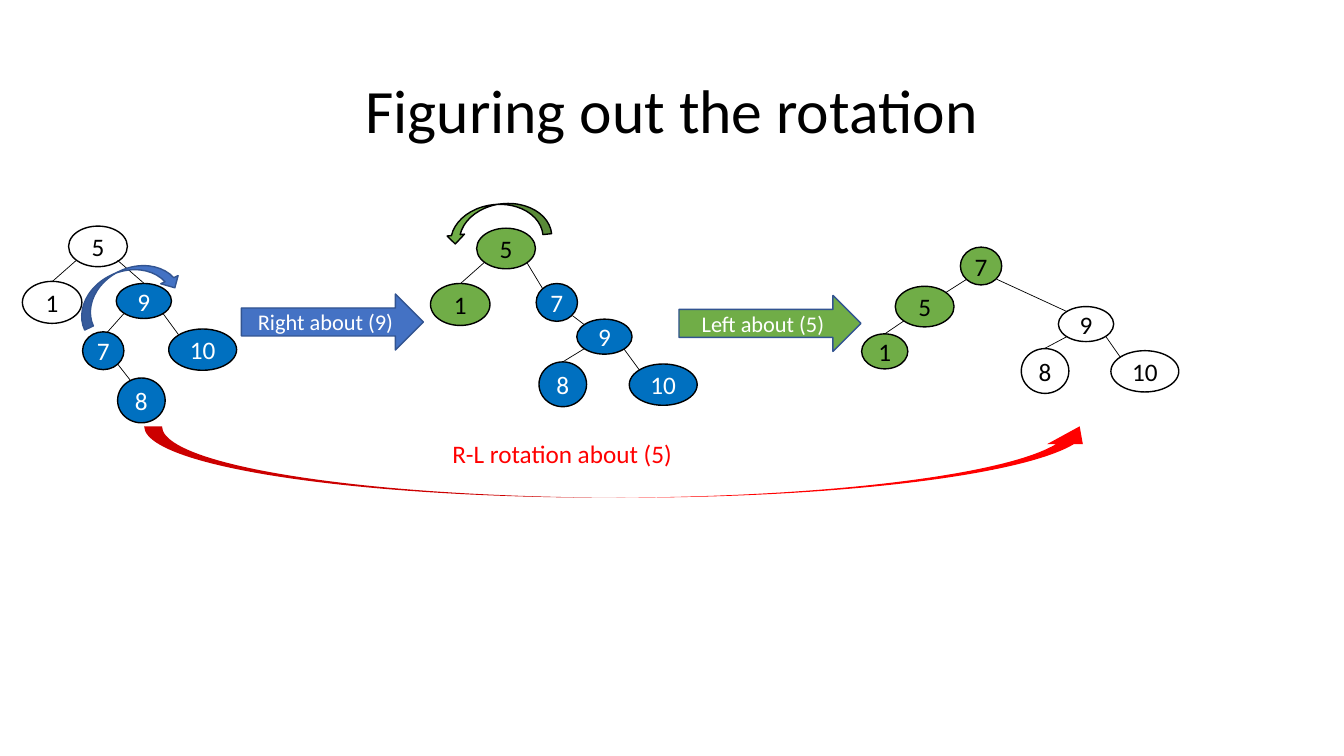
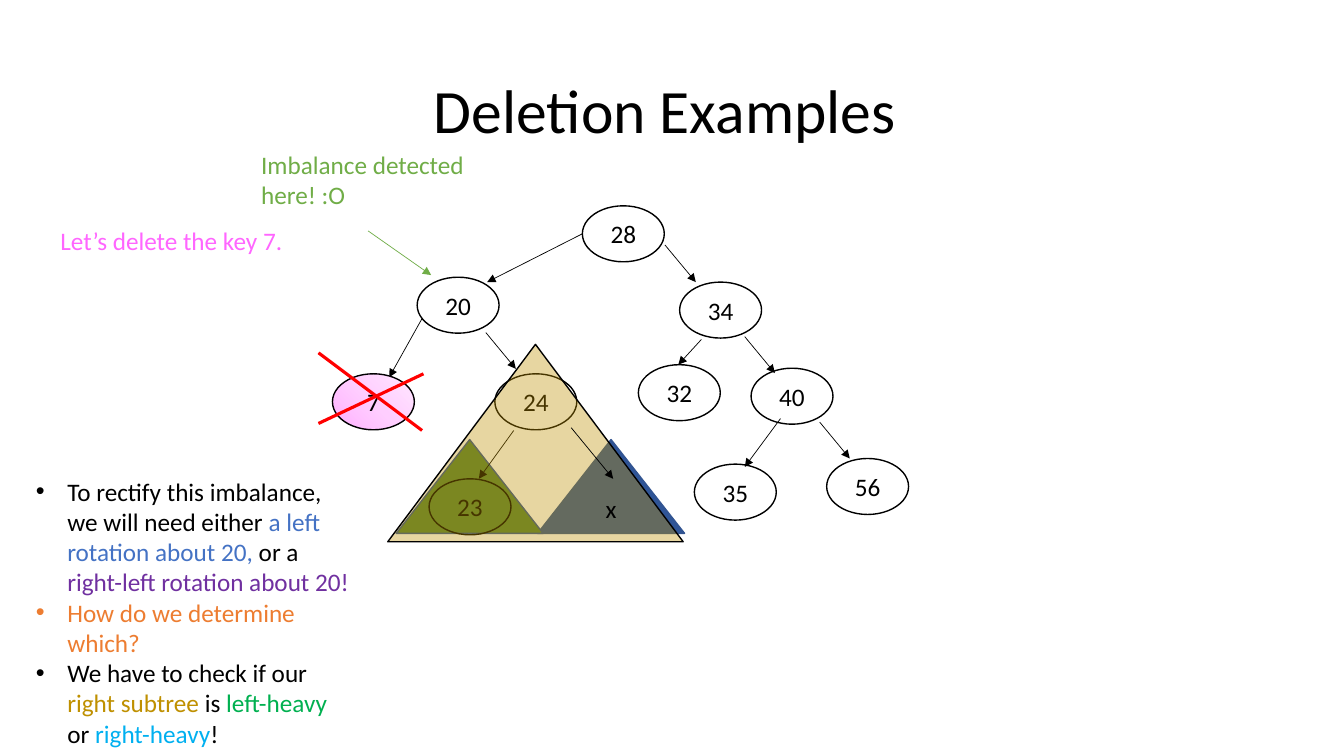
import copy

import lxml.etree
import pptx
import pptx.dml.color
import pptx.enum.dml
import pptx.enum.shapes
import pptx.enum.text
import pptx.oxml.ns
import pptx.util

Pt = pptx.util.Pt
RGBColor = pptx.dml.color.RGBColor
SHAPE = pptx.enum.shapes.MSO_SHAPE
ALIGN = pptx.enum.text.PP_ALIGN
ANCHOR = pptx.enum.text.MSO_ANCHOR
qn = pptx.oxml.ns.qn

BLACK = RGBColor(0x00, 0x00, 0x00)
WHITE = RGBColor(0xFF, 0xFF, 0xFF)
RED = RGBColor(0xFF, 0x00, 0x00)
BLUE = RGBColor(0x44, 0x72, 0xC4)
NODE_BLUE = RGBColor(0x00, 0x70, 0xC0)
OUTLINE_BLUE = RGBColor(0x32, 0x54, 0x91)
DARK_BLUE = RGBColor(0x2F, 0x55, 0x97)
SKY = RGBColor(0x00, 0xB0, 0xF0)
GREEN = RGBColor(0x70, 0xAD, 0x47)
DARK_GREEN = RGBColor(0x54, 0x82, 0x35)
BRIGHT_GREEN = RGBColor(0x00, 0xB0, 0x50)
PURPLE = RGBColor(0x70, 0x30, 0xA0)
ORANGE = RGBColor(0xED, 0x7D, 0x31)
GOLD = RGBColor(0xBF, 0x90, 0x00)
PINK = RGBColor(0xFF, 0x66, 0xFF)
PINK_STOPS = (
    (0, RGBColor(0xFF, 0xAF, 0xFF)),
    (0.5, RGBColor(0xFF, 0xCE, 0xFF)),
    (1, RGBColor(0xFF, 0xE7, 0xFF)),
)

FONT = "Calibri"
TEXT_SIZE = 18
BULLET_INDENT = 22.5
ROTATION_NODE_SIZES = {
    "1": (42.5, 30), "5": (42, 29), "7": (29.5, 27),
    "8": (34, 32), "9": (39.5, 25), "10": (48.5, 29.5),
}
DELETION_NODE_SIZE = (58.5, 40)


def add_run(paragraph, text, color, size=TEXT_SIZE):
    run = paragraph.add_run()
    run.text = text
    run.font.name = FONT
    run.font.size = Pt(size)
    run.font.color.rgb = color


def add_titled_slide(deck, title):
    slide = deck.slides.add_slide(deck.slide_layouts[5])
    heading = slide.shapes.title
    heading.left, heading.top = Pt(66), Pt(29)
    heading.width, heading.height = Pt(828), Pt(104)
    heading.text_frame.vertical_anchor = ANCHOR.MIDDLE
    paragraph = heading.text_frame.paragraphs[0]
    paragraph.alignment = ALIGN.CENTER
    paragraph.line_spacing = 0.9
    add_run(paragraph, title, BLACK, 44)
    return slide


def add_figure(slide, preset, box, fill=None, outline=BLACK, rotation=0):
    figure = slide.shapes.add_shape(preset, *map(Pt, box))
    figure.shadow.inherit = False
    figure.rotation = rotation
    if fill is None:
        figure.fill.background()
    else:
        figure.fill.solid()
        figure.fill.fore_color.rgb = fill
    if outline is None:
        figure.line.fill.background()
    else:
        figure.line.color.rgb = outline
        figure.line.width = Pt(1)
    return figure


def add_label(figure, text, color, size=TEXT_SIZE):
    frame = figure.text_frame
    frame.margin_left = frame.margin_right = 0
    frame.margin_top = frame.margin_bottom = 0
    frame.word_wrap = False
    frame.vertical_anchor = ANCHOR.MIDDLE
    paragraph = frame.paragraphs[0]
    paragraph.alignment = ALIGN.CENTER
    add_run(paragraph, text, color, size)


def add_node(slide, key, left, top, size, fill=None):
    node = add_figure(slide, SHAPE.OVAL, (left, top, *size), fill)
    add_label(node, key, WHITE if fill == NODE_BLUE else BLACK)
    return node


def add_line(slide, ends, color=BLACK, width=0.5, arrow=False):
    line = slide.shapes.add_connector(
        pptx.enum.shapes.MSO_CONNECTOR.STRAIGHT, *map(Pt, ends))
    line.line.color.rgb = color
    line.line.width = Pt(width)
    properties = line._element.spPr
    if arrow:
        lxml.etree.SubElement(properties.find(qn("a:ln")), qn("a:tailEnd"), type="triangle")
    lxml.etree.SubElement(properties, qn("a:effectLst"))


def add_step_arrow(slide, text, left, top, fill):
    arrow = add_figure(slide, SHAPE.RIGHT_ARROW, (left, top, 130, 40), fill, OUTLINE_BLUE)
    add_label(arrow, text, WHITE, 16)


def add_note(slide, box, paragraphs, bulleted=False):
    note = slide.shapes.add_textbox(*map(Pt, box))
    frame = note.text_frame
    frame.word_wrap = True
    frame.auto_size = pptx.enum.text.MSO_AUTO_SIZE.SHAPE_TO_FIT_TEXT
    for index, phrases in enumerate(paragraphs):
        paragraph = frame.add_paragraph() if index else frame.paragraphs[0]
        if bulleted:
            properties = paragraph._p.get_or_add_pPr()
            properties.set("marL", str(Pt(BULLET_INDENT)))
            properties.set("indent", str(-Pt(BULLET_INDENT)))
            lxml.etree.SubElement(properties, qn("a:buFont"), typeface="Arial")
            lxml.etree.SubElement(properties, qn("a:buChar"), char="•")
        for text, color in phrases:
            add_run(paragraph, text, color)


def shade_pink(node):
    node.fill.gradient()
    node.fill.gradient_angle = 45
    stops = node._element.spPr.find(".//" + qn("a:gsLst"))
    stops.append(copy.deepcopy(stops[-1]))
    for stop, (position, color) in zip(node.fill.gradient_stops, PINK_STOPS):
        stop.position = position
        stop.color.rgb = color


def set_opacity(figure, percent):
    color = figure._element.spPr.find(qn("a:solidFill")).find(qn("a:srgbClr"))
    lxml.etree.SubElement(color, qn("a:alpha"), val=str(percent * 1000))


def add_rotation_tree(slide, nodes, edges, sizes=ROTATION_NODE_SIZES):
    for ends in edges:
        add_line(slide, ends)
    for key, left, top, fill in nodes:
        add_node(slide, key, left, top, sizes[key], fill)


def build_rotation(deck):
    slide = add_titled_slide(deck, "Figuring out the rotation")
    add_rotation_tree(
        slide,
        [("5", 49, 161.5, None), ("1", 16, 201, None), ("9", 83, 202.5, NODE_BLUE),
         ("7", 59, 237, NODE_BLUE), ("10", 120.5, 235, NODE_BLUE), ("8", 84, 270, NODE_BLUE)],
        [(84, 186, 103, 202.5), (54.5, 186, 37.5, 201), (88.5, 224, 76.5, 237.5),
         (116.5, 224, 127.5, 239), (84, 260, 93, 271.5)])
    add_rotation_tree(
        slide,
        [("5", 340.5, 163, GREEN), ("1", 307.5, 202.5, GREEN), ("7", 383, 202.5, NODE_BLUE),
         ("9", 412, 228, NODE_BLUE), ("8", 385, 258.5, NODE_BLUE), ("10", 449.5, 260, NODE_BLUE)],
        [(376, 187, 387.5, 206), (346.5, 187, 329, 202.5), (409, 225.5, 417.5, 232),
         (417.5, 249, 402, 258.5), (445.5, 249, 456.5, 264)])
    add_rotation_tree(
        slide,
        [("7", 686, 176.5, GREEN), ("5", 639.5, 204.5, GREEN), ("1", 615.5, 238.5, GREEN),
         ("9", 756, 219, None), ("8", 729.5, 249, None), ("10", 793.5, 250.5, None)],
        [(690.5, 199.5, 675.5, 209), (646, 229, 632, 238.5), (712, 199.5, 762, 222.5),
         (762, 240.5, 746, 249), (790, 240.5, 800.5, 255.5)],
        {**ROTATION_NODE_SIZES, "1": (33, 25)})

    left_turn = add_figure(
        slide, SHAPE.CURVED_DOWN_ARROW, (317.5, 146, 75.5, 25), GREEN, rotation=353.9)
    left_turn._element.spPr.find(qn("a:xfrm")).set("flipH", "1")
    add_figure(slide, SHAPE.CURVED_DOWN_ARROW, (51, 193, 78, 27.5), BLUE, OUTLINE_BLUE, 334.9)
    add_step_arrow(slide, "Right about (9)", 172.5, 210, BLUE)
    add_step_arrow(slide, "Left about (5)", 485, 211, GREEN)
    add_figure(slide, SHAPE.CURVED_UP_ARROW, (103, 304.5, 681, 51), RED, None)
    add_note(slide, (316, 309.5, 257, 29), [[("R-L rotation about (5)", RED)]])


def build_deletion(deck):
    slide = add_titled_slide(deck, "Deletion Examples ")
    for left, fill in ((384, DARK_BLUE), (283, DARK_GREEN)):
        add_figure(slide, SHAPE.ISOSCELES_TRIANGLE, (left, 314, 105, 67), fill, OUTLINE_BLUE)

    for ends in (
        (416, 167, 348, 201.5), (475, 175, 497, 201.5),
        (301.5, 227.5, 278, 269.5), (347, 237.5, 368.5, 263.5),
        (501, 242.5, 484.5, 260.5), (532, 240.5, 553.5, 266.5),
        (367, 307.5, 342, 342), (557.5, 299, 532, 333.5), (585.5, 301.5, 607, 327.5),
    ):
        add_line(slide, ends, arrow=True)

    nodes = {}
    for key, left, top in (
        ("28", 416, 147), ("20", 298, 198), ("34", 485.5, 201.5),
        ("7", 237.5, 267), ("24", 353.5, 267), ("32", 456, 260.5), ("40", 536.5, 263),
        ("23", 306.5, 342), ("35", 496, 331.5), ("56", 590.5, 327.5),
    ):
        nodes[key] = add_node(slide, key, left, top, DELETION_NODE_SIZE)
    shade_pink(nodes["7"])
    for ends in ((227.5, 252, 301.5, 307.5), (227.5, 302.5, 302.5, 267)):
        add_line(slide, ends, RED, 2.25)

    add_note(slide, (36, 157.5, 177, 29), [[("Let’s delete the key 7.", PINK)]])
    add_note(slide, (179.5, 103, 163, 51), [[("Imbalance detected here! :O", GREEN)]])
    add_line(slide, (263, 165, 308, 196.5), GREEN, arrow=True)
    add_note(slide, (18.5, 336.5, 242, 203.5), [
        [("To rectify this imbalance, we will need either ", BLACK),
         ("a left rotation about 20,", BLUE), (" or a ", BLACK),
         ("right-left rotation about 20!", PURPLE)],
        [("How do we determine which?", ORANGE)],
        [("We have to check if our ", BLACK), ("right subtree ", GOLD), ("is ", BLACK),
         ("left-heavy ", BRIGHT_GREEN), ("or ", BLACK), ("right-heavy", SKY), ("!", BLACK)],
    ], bulleted=True)

    right_subtree = add_figure(slide, SHAPE.ISOSCELES_TRIANGLE, (277, 246, 211, 141), GOLD)
    set_opacity(right_subtree, 37)
    add_line(slide, (408, 305.5, 438, 342), arrow=True)
    add_note(slide, (425.5, 348.5, 33, 29), [[("x", BLACK)]])


def main():
    deck = pptx.Presentation()
    deck.slide_width, deck.slide_height = Pt(960), Pt(540)
    build_rotation(deck)
    build_deletion(deck)
    deck.save("out.pptx")


if __name__ == "__main__":
    main()
